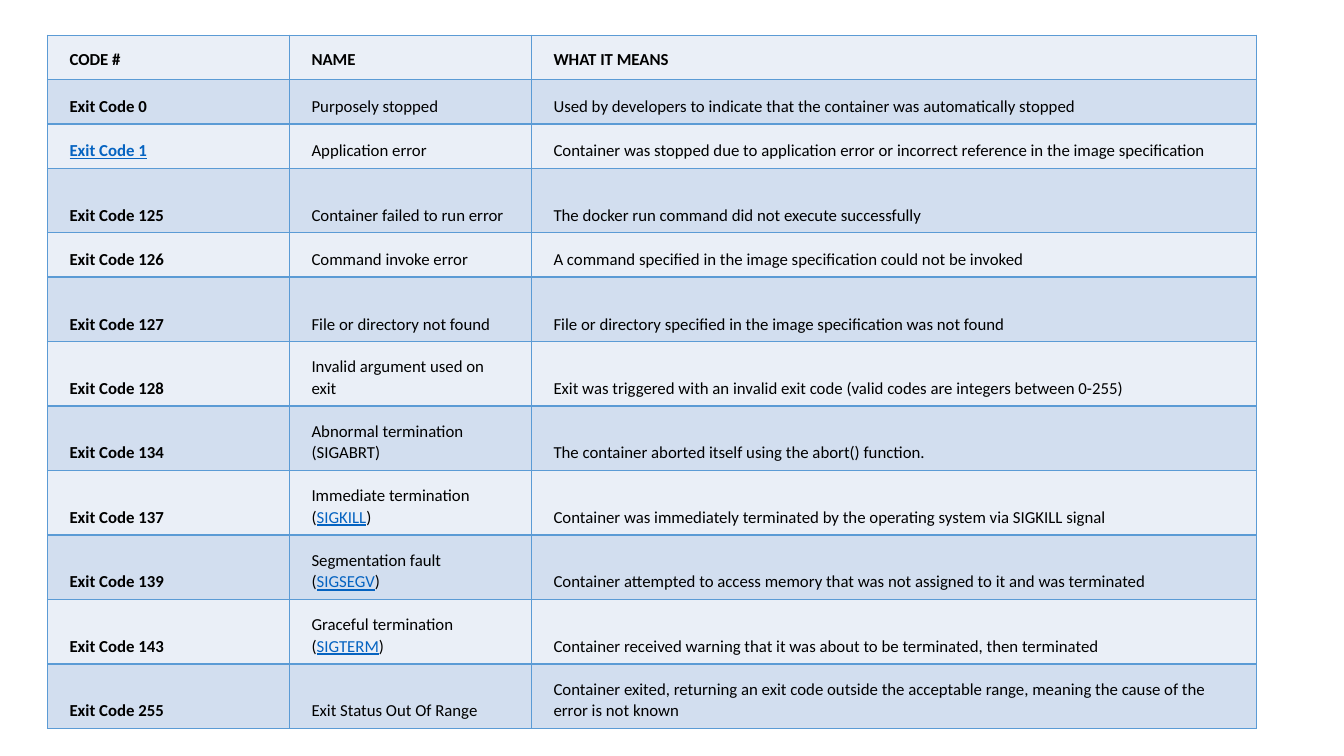
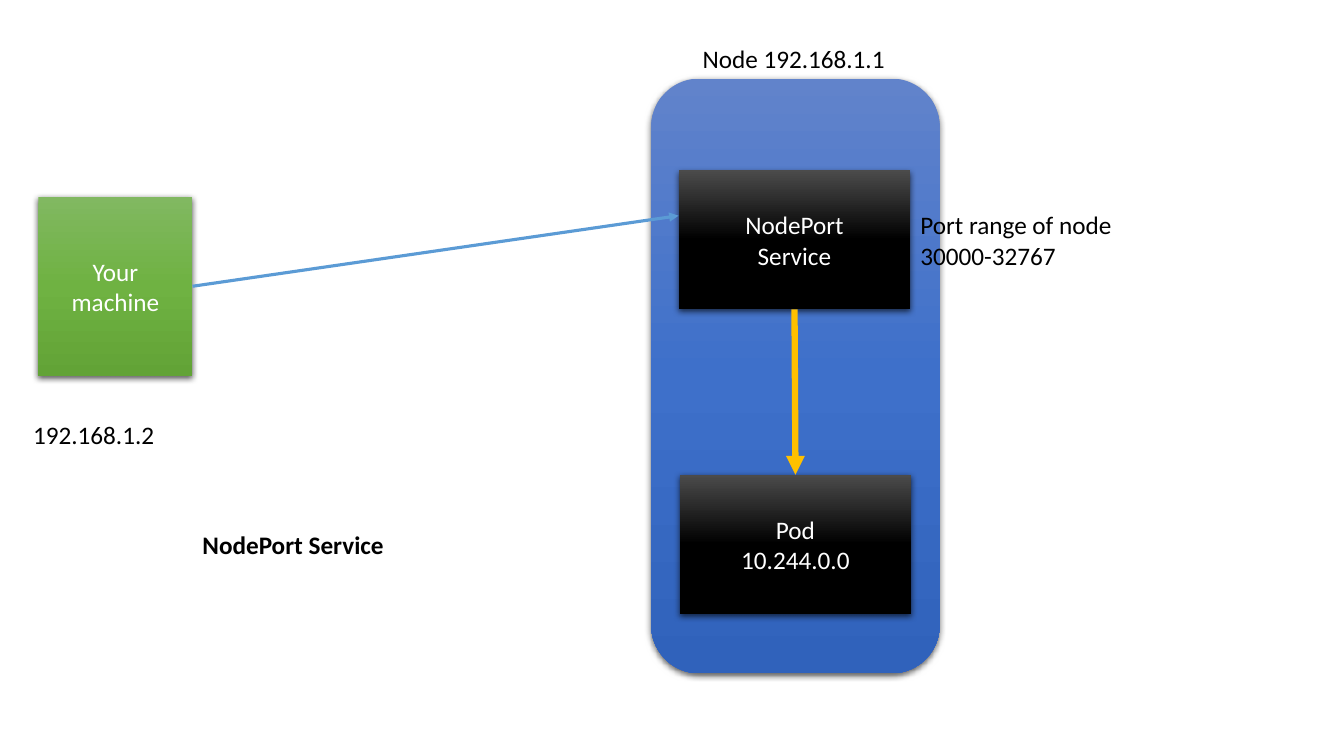
from lxml import etree
from pptx import Presentation
from pptx.dml.color import RGBColor
from pptx.enum.shapes import MSO_CONNECTOR, MSO_SHAPE
from pptx.enum.text import MSO_ANCHOR, PP_ALIGN
from pptx.oxml import parse_xml
from pptx.oxml.ns import nsdecls, qn
from pptx.util import Pt

PX = 9144  # 100 px to the inch
RECTANGLE, ROUNDED = MSO_SHAPE.RECTANGLE, MSO_SHAPE.ROUNDED_RECTANGLE
STRAIGHT = MSO_CONNECTOR.STRAIGHT
MIDDLE, BOTTOM = MSO_ANCHOR.MIDDLE, MSO_ANCHOR.BOTTOM
CENTER, LEFT = PP_ALIGN.CENTER, PP_ALIGN.LEFT
TOP_SITE, BOTTOM_SITE = 0, 2

FONT = "Calibri"
COLORS = {
    "text": "000000",
    "light text": "FFFFFF",
    "link": "0563C1",
    "line": "5B9BD5",
    "flow": "FFC000",
    "light row": "EAEFF7",
    "dark row": "D2DEEF",
}
GRADIENTS = {
    "green": ("81B861", "6FB242", "62A336"),
    "blue": ("6183CB", "3E70CA", "3062BB"),
    "black": ("4B4B4B", "000000", "000000"),
}


def format_run(run, size, color="text", bold=False, underline=False):
    run.font.name = FONT
    run.font.size = Pt(size)
    run.font.bold = bold
    run.font.underline = underline
    run.font.color.rgb = RGBColor.from_string(COLORS[color])


def write_lines(shape, text, color, align, bold=False):
    shape.text_frame.text = text
    for paragraph in shape.text_frame.paragraphs:
        paragraph.alignment = align
        for run in paragraph.runs:
            format_run(run, 18, color, bold)


presentation = Presentation()
presentation.slide_width = 1333 * PX
presentation.slide_height = 750 * PX
blank_layout = presentation.slide_layouts[6]

# Slide 1: table of exit codes; text between bars is styled as a link
ROWS = [
    ("CODE #", "NAME", "WHAT IT MEANS"),
    ("Exit Code 0", "Purposely stopped",
     "Used by developers to indicate that the container was automatically stopped"),
    ("|Exit Code 1|", "Application error",
     "Container was stopped due to application error or incorrect reference in the image specification"),
    ("Exit Code 125", "Container failed to run error",
     "The docker run command did not execute successfully"),
    ("Exit Code 126", "Command invoke error",
     "A command specified in the image specification could not be invoked"),
    ("Exit Code 127", "File or directory not found",
     "File or directory specified in the image specification was not found"),
    ("Exit Code 128", "Invalid argument used on exit",
     "Exit was triggered with an invalid exit code (valid codes are integers between 0-255)"),
    ("Exit Code 134", "Abnormal termination (SIGABRT)",
     "The container aborted itself using the abort() function."),
    ("Exit Code 137", "Immediate termination (|SIGKILL|)",
     "Container was immediately terminated by the operating system via SIGKILL signal"),
    ("Exit Code 139", "Segmentation fault (|SIGSEGV|)",
     "Container attempted to access memory that was not assigned to it and was terminated"),
    ("Exit Code 143", "Graceful termination (|SIGTERM|)",
     "Container received warning that it was about to be terminated, then terminated"),
    ("Exit Code 255", "Exit Status Out Of Range",
     "Container exited, returning an exit code outside the acceptable range, "
     "meaning the cause of the error is not known"),
]
COLUMN_WIDTHS = (240, 240, 719)
SHORT_ROWS = (0, 1, 2, 4)
row_heights = [44 if index in SHORT_ROWS else 64 for index in range(len(ROWS))]

slide = presentation.slides.add_slide(blank_layout)
table = slide.shapes.add_table(
    len(ROWS), len(COLUMN_WIDTHS), 47 * PX, 35 * PX,
    sum(COLUMN_WIDTHS) * PX, sum(row_heights) * PX).table
table.first_row = False
table.horz_banding = False
for column, width in zip(table.columns, COLUMN_WIDTHS):
    column.width = width * PX

for row_index, texts in enumerate(ROWS):
    table.rows[row_index].height = row_heights[row_index] * PX
    band = "dark row" if row_index % 2 else "light row"
    for column_index, text in enumerate(texts):
        cell = table.cell(row_index, column_index)
        cell.margin_left = cell.margin_right = 22 * PX
        cell.margin_top, cell.margin_bottom = 11 * PX, 7 * PX
        cell.vertical_anchor = BOTTOM if row_index else MIDDLE

        # Borders come before the fill in the cell properties
        properties = cell._tc.get_or_add_tcPr()
        for side in ("lnL", "lnR", "lnT", "lnB"):
            properties.append(parse_xml(
                f'<a:{side} {nsdecls("a")} w="{Pt(1)}"><a:solidFill>'
                f'<a:srgbClr val="{COLORS["line"]}"/></a:solidFill></a:{side}>'))
        cell.fill.solid()
        cell.fill.fore_color.rgb = RGBColor.from_string(COLORS[band])

        paragraph = cell.text_frame.paragraphs[0]
        paragraph.line_spacing = 1.07
        paragraph.space_after = Pt(7.3)
        bold = row_index == 0 or column_index == 0
        for part_index, part in enumerate(text.split("|")):
            if part:
                linked = part_index % 2 == 1
                run = paragraph.add_run()
                run.text = part
                format_run(run, 12, "link" if linked else "text", bold, linked)

# Slide 2: NodePort diagram, from back to front
slide = presentation.slides.add_slide(blank_layout)
BLOCKS = [
    ("machine", RECTANGLE, (38, 195, 153, 178), "green", "Your machine"),
    ("node", ROUNDED, (646, 78, 286, 590), "blue", ""),
    ("pod", RECTANGLE, (674, 471, 230, 138), "black", "Pod\n10.244.0.0"),
    ("service", RECTANGLE, (673, 169, 230, 138), "black", "NodePort\nService"),
]
blocks = {}
for name, kind, box, gradient, text in BLOCKS:
    shape = slide.shapes.add_shape(kind, *(length * PX for length in box))
    shape.line.fill.background()
    stops = "".join(
        f'<a:gs pos="{index * 50000}"><a:srgbClr val="{color}"/></a:gs>'
        for index, color in enumerate(GRADIENTS[gradient]))
    shape_properties = shape._element.spPr
    shape_properties.find(qn("a:prstGeom")).addnext(parse_xml(
        f'<a:gradFill {nsdecls("a")} rotWithShape="1"><a:gsLst>{stops}</a:gsLst>'
        '<a:lin ang="5400000" scaled="0"/></a:gradFill>'))
    shape_properties.append(parse_xml(
        f'<a:effectLst {nsdecls("a")}><a:outerShdw blurRad="{Pt(4.5)}" dist="{Pt(1.5)}" '
        'dir="5400000" algn="ctr" rotWithShape="0"><a:srgbClr val="000000">'
        '<a:alpha val="63000"/></a:srgbClr></a:outerShdw></a:effectLst>'))
    if text:
        shape.text_frame.vertical_anchor = MIDDLE
        write_lines(shape, text, "light text", CENTER)
    blocks[name] = shape

# Labels
LABELS = [
    ((23, 411, 142, 40), "192.168.1.2", False),
    ((687, 38, 203, 40), "Node 192.168.1.1", False),
    ((903, 203, 212, 71), "Port range of node\n30000-32767", False),
    ((191, 520, 213, 40), "NodePort Service", True),
]
for box, text, bold in LABELS:
    label = slide.shapes.add_textbox(*(length * PX for length in box))
    label.text_frame.word_wrap = bold
    write_lines(label, text, "text", LEFT, bold)

# Arrows
ARROWS = [
    ((191, 284, 673, 214), "line", 2.25),
    ((788, 307, 789, 471), "flow", 4.5),
]
for ends, color, width in ARROWS:
    arrow = slide.shapes.add_connector(STRAIGHT, *(length * PX for length in ends))
    arrow.line.color.rgb = RGBColor.from_string(COLORS[color])
    arrow.line.width = Pt(width)
    etree.SubElement(arrow.line._get_or_add_ln(), qn("a:tailEnd"), type="triangle")
    etree.SubElement(arrow._element.spPr, qn("a:effectLst"))
    if color == "flow":
        arrow.begin_connect(blocks["service"], BOTTOM_SITE)
        arrow.end_connect(blocks["pod"], TOP_SITE)

presentation.save("out.pptx")
